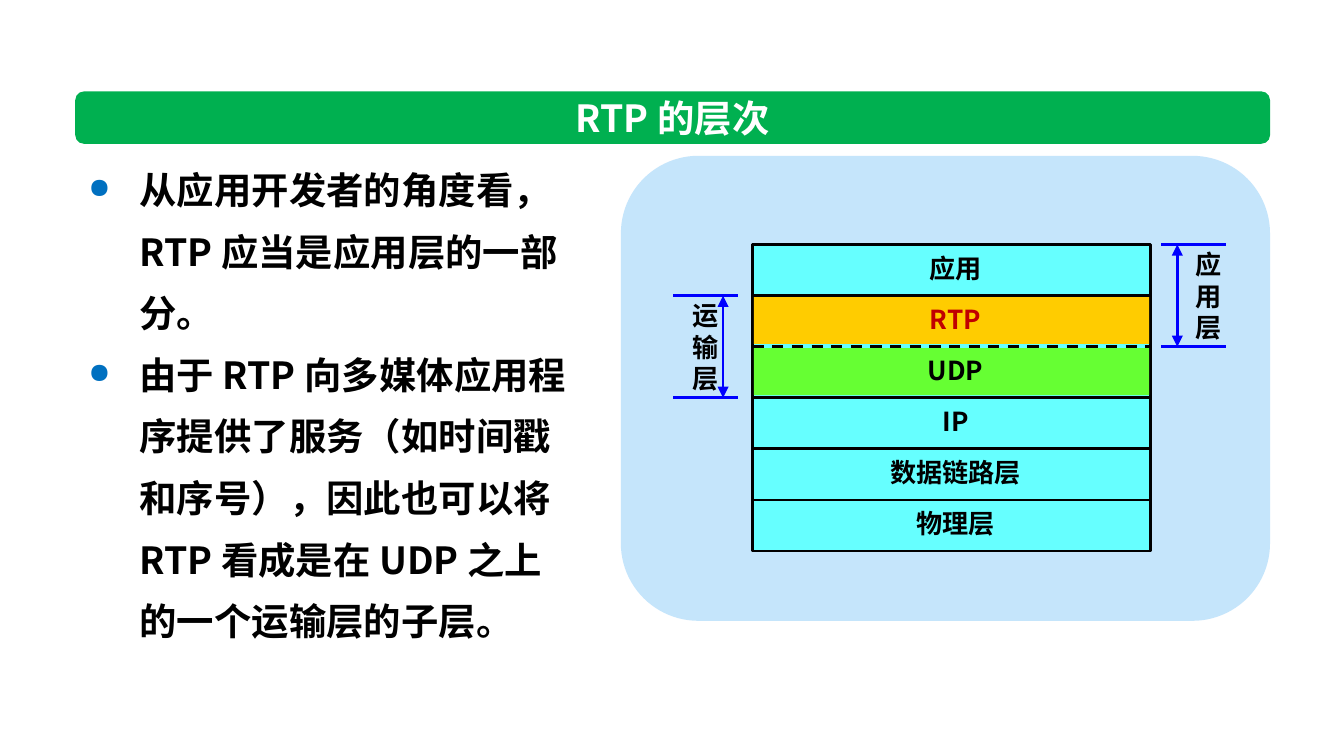
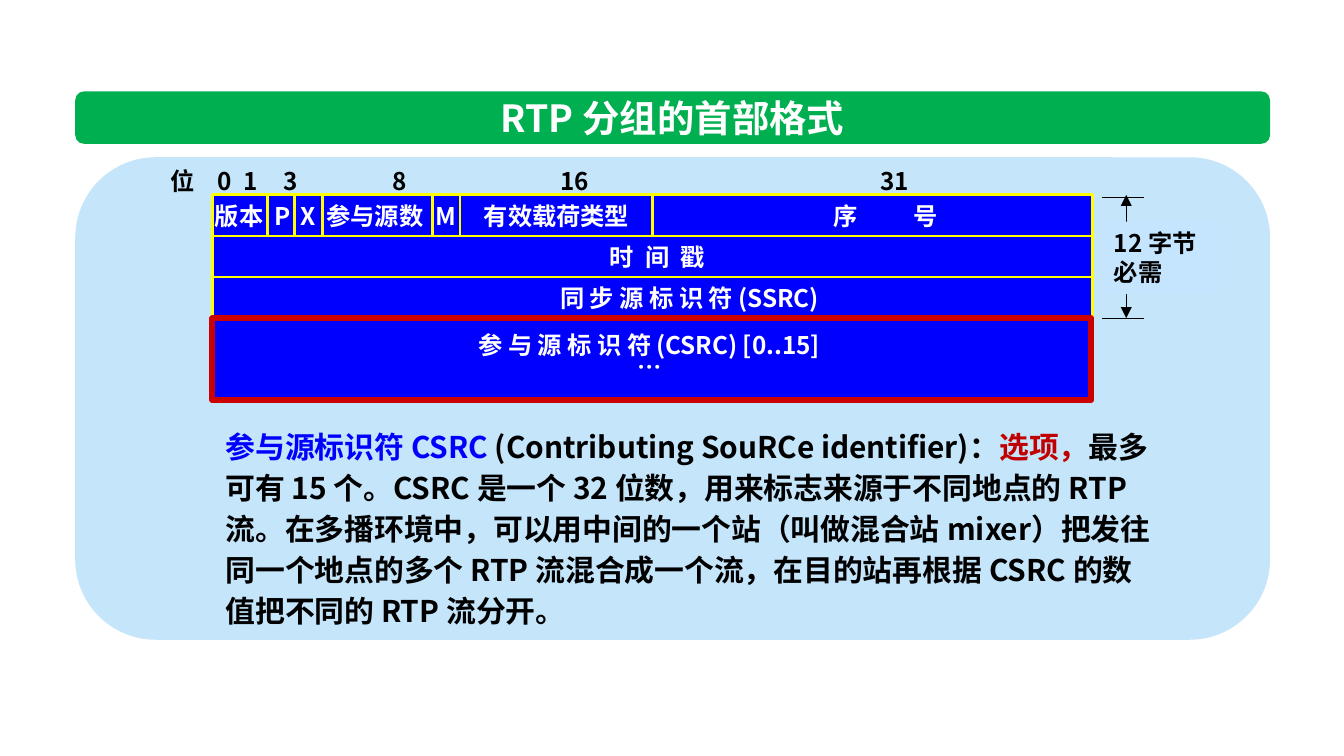
from dataclasses import dataclass
from typing import NamedTuple

from lxml.etree import SubElement
from pptx import Presentation
from pptx.dml.color import RGBColor
from pptx.enum.dml import MSO_LINE
from pptx.enum.shapes import MSO_CONNECTOR, MSO_SHAPE
from pptx.enum.text import MSO_ANCHOR, PP_ALIGN
from pptx.oxml.ns import qn
from pptx.shapes.autoshape import Shape
from pptx.slide import Slide
from pptx.text.text import _Paragraph as Para
from pptx.text.text import _Run as Run
from pptx.util import Inches, Pt

FONT = "Noto Sans CJK SC"
CELL = Inches(0.1)
COLS, ROWS = 100, 56.25

BLACK = RGBColor(0, 0, 0)
WHITE = RGBColor(0xFF, 0xFF, 0xFF)
GREEN = RGBColor(0, 0xB0, 0x50)
PALE = RGBColor(0xC5, 0xE5, 0xFB)
MASK = RGBColor(0xC5, 0xE5, 0xFF)
BLUE = RGBColor(0, 0, 0xFF)
DOT = RGBColor(0, 0x70, 0xC0)
CYAN = RGBColor(0x66, 0xFF, 0xFF)
GOLD = RGBColor(0xFF, 0xCC, 0)
LIME = RGBColor(0x66, 0xFF, 0x33)
YELLOW = RGBColor(0xFF, 0xFF, 0)
RED = RGBColor(0xC0, 0, 0)
FRAME = RGBColor(0xCC, 0, 0)


class Box(NamedTuple):
    x: float
    y: float
    w: float
    h: float


class Layer(NamedTuple):
    text: str
    fill: RGBColor | None = None
    ink: RGBColor = BLACK


class Span(NamedTuple):
    text: str
    first: int
    left: float
    arrow: float
    mid: float


class Note(NamedTuple):
    text: str
    mid: float
    row: float
    gap: float = 0


@dataclass(frozen=True)
class Look:
    size: float
    ink: RGBColor = BLACK
    align: PP_ALIGN = PP_ALIGN.LEFT
    anchor: MSO_ANCHOR = MSO_ANCHOR.TOP
    wrap: bool = True
    inset: float = 1
    lead: float | None = None
    gap: float = 0


BAND = Box(5.6, 6.8, 88.9, 3.9)
HEAD = Look(20, WHITE, PP_ALIGN.CENTER, MSO_ANCHOR.MIDDLE)
BODY = Look(20, lead=33)
TAG = Look(14, align=PP_ALIGN.CENTER, anchor=MSO_ANCHOR.MIDDLE, inset=0)
BITS = Look(13, wrap=False)
SIDE = Look(13)
TALE = Look(16, lead=22)

STACK = Box(56, 18.2, 29.6, 22.8)
LAYERS = [
    Layer("应用"),
    Layer("RTP", GOLD, RED),
    Layer("UDP", LIME),
    Layer("IP"),
    Layer("数据链路层"),
    Layer("物理层"),
]
SPANS = [
    Span("运输层", 1, 50.1, 53.8, 52.5),
    Span("应用层", 0, 86.4, 87.6, 89.9),
]
POINTS = [
    "从应用开发者的角度看，RTP 应当是应用层的一部分。",
    "由于 RTP 向多媒体应用程序提供了服务（如时间戳和序号），因此也可以将 RTP 看成是在 UDP 之上的一个运输层的子层。",
]

GRID = Box(15.8, 14.5, 65.5, 15.2)
BIT = GRID.w / 32
STEP = 3.06
CUTS = [2, 3, 4, 8, 9, 16]
NOTES = [
    Note("版本", 17.8, 0),
    Note("P", 21, 0),
    Note("X", 22.9, 0),
    Note("参与源数", 27.9, 0),
    Note("M", 33.15, 0),
    Note("有效载荷类型", 41.4, 0),
    Note("序 号", 65.9, 0, 13.3),
    Note("时 间 戳", 48.9, 1, 1.5),
    Note("同 步 源 标 识 符 (SSRC)", 51.3, 2),
    Note("参 与 源 标 识 符 (CSRC) [0..15]\n…", 48.3, 3.12),
]
STOPS = [3.5, 5.4, 8.4, 16.5, 29, 52.8]
STORY = [
    ("参与源标识符 CSRC ", BLUE),
    ("(Contributing SouRCe identifier)：", BLACK),
    ("选项，", RED),
    ("最多可有 15 个。CSRC 是一个 32 位数，用来标志来源于不同地点的 RTP 流。"
     "在多播环境中，可以用中间的一个站（叫做混合站 mixer）把发往同一个地点的多个 "
     "RTP 流混合成一个流，在目的站再根据 CSRC 的数值把不同的 RTP 流分开。", BLACK),
]


def unit(n: float) -> int:
    return round(n * CELL)


def place(shape: Shape, box: Box) -> None:
    shape.left, shape.top, shape.width, shape.height = map(unit, box)


def style(run: Run, look: Look, ink: RGBColor) -> None:
    run.font.size = Pt(look.size)
    run.font.bold = True
    run.font.name = FONT
    run.font.color.rgb = ink
    props = run.font._element
    SubElement(props, qn("a:ea")).set("typeface", FONT)
    if look.gap:
        props.set("spc", str(round(look.gap * 100)))


def fill_text(shape: Shape, text: str, look: Look, ink: RGBColor | None = None) -> None:
    frame = shape.text_frame
    frame.word_wrap = look.wrap
    frame.vertical_anchor = look.anchor
    frame.margin_left = frame.margin_right = unit(look.inset)
    frame.margin_top = frame.margin_bottom = unit(look.inset / 2)
    frame.text = text
    for para in frame.paragraphs:
        para.alignment = look.align
        if look.lead:
            para.line_spacing = Pt(look.lead)
        for run in para.runs:
            style(run, look, ink or look.ink)


def label(slide: Slide, box: Box, text: str, look: Look,
          ink: RGBColor | None = None) -> Shape:
    shape = slide.shapes.add_textbox(*map(unit, box))
    fill_text(shape, text, look, ink)
    return shape


def block(slide: Slide, box: Box, fill: RGBColor | None, line: RGBColor | None = None,
          width: float = 1.5, kind: MSO_SHAPE = MSO_SHAPE.RECTANGLE) -> Shape:
    shape = slide.shapes.add_shape(kind, *map(unit, box))
    shape.shadow.inherit = False
    if fill is None:
        shape.fill.background()
    else:
        shape.fill.solid()
        shape.fill.fore_color.rgb = fill
    if line is None:
        shape.line.fill.background()
    else:
        shape.line.color.rgb = line
        shape.line.width = Pt(width)
    return shape


def rule(slide: Slide, x: float, y: float, to_x: float, to_y: float, ink: RGBColor,
         width: float = 1.5, dash: bool = False, heads: bool = False) -> None:
    line = slide.shapes.add_connector(
        MSO_CONNECTOR.STRAIGHT, unit(x), unit(y), unit(to_x), unit(to_y))
    line.line.color.rgb = ink
    line.line.width = Pt(width)
    if dash:
        line.line.dash_style = MSO_LINE.DASH
    if heads:
        for end in ("a:headEnd", "a:tailEnd"):
            SubElement(line.line._get_or_add_ln(), qn(end)).set("type", "triangle")
    SubElement(line._element.spPr, qn("a:effectLst"))


def bullet(para: Para) -> None:
    props = para._p.get_or_add_pPr()
    props.set("marL", str(unit(3.8)))
    props.set("indent", str(-unit(3.8)))
    props.set("hangingPunct", "0")
    tint = SubElement(props, qn("a:buClr"))
    SubElement(tint, qn("a:srgbClr")).set("val", str(DOT))
    SubElement(props, qn("a:buSzPct")).set("val", "75000")
    SubElement(props, qn("a:buChar")).set("char", "●")


def add_tabs(para: Para, stops: list[float]) -> None:
    tabs = SubElement(para._p.get_or_add_pPr(), qn("a:tabLst"))
    for stop in stops:
        tab = SubElement(tabs, qn("a:tab"))
        tab.set("pos", str(unit(stop)))
        tab.set("algn", "l")


def start(deck: Presentation, name: str, panel: Box) -> Slide:
    slide = deck.slides.add_slide(deck.slide_layouts[5])
    for box, fill in ((panel, PALE), (BAND, GREEN)):
        block(slide, box, fill, kind=MSO_SHAPE.ROUNDED_RECTANGLE)
    title = slide.shapes.title
    place(title, BAND)
    fill_text(title, name, HEAD)
    slide.shapes._spTree.append(title._element)
    return slide


def draw_stack(deck: Presentation) -> None:
    slide = start(deck, "RTP 的层次", Box(46.2, 11.6, 48.3, 34.6))
    body = label(slide, Box(5.6, 10.7, 37.8, 38), "\n".join(POINTS), BODY)
    for para in body.text_frame.paragraphs:
        bullet(para)

    pitch = STACK.h / len(LAYERS)
    tops = [STACK.y + pitch * n for n in range(len(LAYERS))]
    block(slide, STACK, CYAN, BLACK)
    for layer, top in zip(LAYERS, tops):
        if layer.fill:
            block(slide, Box(STACK.x + 0.1, top + 0.1, STACK.w - 0.2, 3.5), layer.fill)
    for n, top in enumerate(tops[1:], 1):
        rule(slide, STACK.x, top, STACK.x + STACK.w, top, BLACK, dash=n == 2)
    for layer, top in zip(LAYERS, tops):
        label(slide, Box(STACK.x + 0.3, top, STACK.w, 3.5), layer.text, TAG, layer.ink)

    for span in SPANS:
        top, end = tops[span.first], tops[span.first + 2]
        rule(slide, span.arrow, top, span.arrow, end, BLUE, heads=True)
        for y in (top, end):
            rule(slide, span.left, y, span.left + 4.8, y, BLUE)
        label(slide, Box(span.mid - 1.3, top, 2.6, end - top), span.text, TAG)


def draw_head(deck: Presentation) -> None:
    slide = start(deck, "RTP 分组的首部格式", Box(5.6, 11.7, 88.9, 35.9))
    base = GRID.y + 3 * STEP
    rule(slide, 83.8, base, 83.8, GRID.y, BLACK, 0.75, heads=True)
    for y in (GRID.y + 0.2, base):
        rule(slide, 82, y, 85.1, y, BLACK, 0.75)
    side = block(slide, Box(81.9, 16.5, 8.8, 5.4), MASK)
    fill_text(side, "12 字节\n必需", SIDE)

    block(slide, GRID, BLUE, YELLOW)
    for n in (1, 2, 3):
        y = GRID.y + n * STEP
        rule(slide, GRID.x, y, GRID.x + GRID.w, y, YELLOW)
    for cut in CUTS:
        x = GRID.x + cut * BIT
        rule(slide, x, GRID.y, x, GRID.y + STEP, YELLOW)
    for note in NOTES:
        look = Look(13, WHITE, PP_ALIGN.CENTER, wrap=False, gap=note.gap)
        wide = 32 if note.row else 16
        box = Box(note.mid - wide / 2, GRID.y + note.row * STEP, wide, 3.2)
        shape = label(slide, box, note.text, look)
        for para in shape.text_frame.paragraphs[1:]:
            para.line_spacing = 0.75

    bits = label(slide, Box(11.7, 11.9, 73.7, 3.2), "位\t0\t1\t3\t8\t16\t31", BITS)
    add_tabs(bits.text_frame.paragraphs[0], STOPS)
    block(slide, Box(GRID.x, base, 65.4, 6.1), None, FRAME, 3)

    tale = label(slide, Box(15.8, 31, 71.6, 16.4), "", TALE)
    para = tale.text_frame.paragraphs[0]
    para.line_spacing = Pt(TALE.lead)
    for text, ink in STORY:
        run = para.add_run()
        run.text = text
        style(run, TALE, ink)


def main() -> None:
    deck = Presentation()
    deck.slide_width, deck.slide_height = unit(COLS), unit(ROWS)
    draw_stack(deck)
    draw_head(deck)
    deck.save("out.pptx")


if __name__ == "__main__":
    main()
